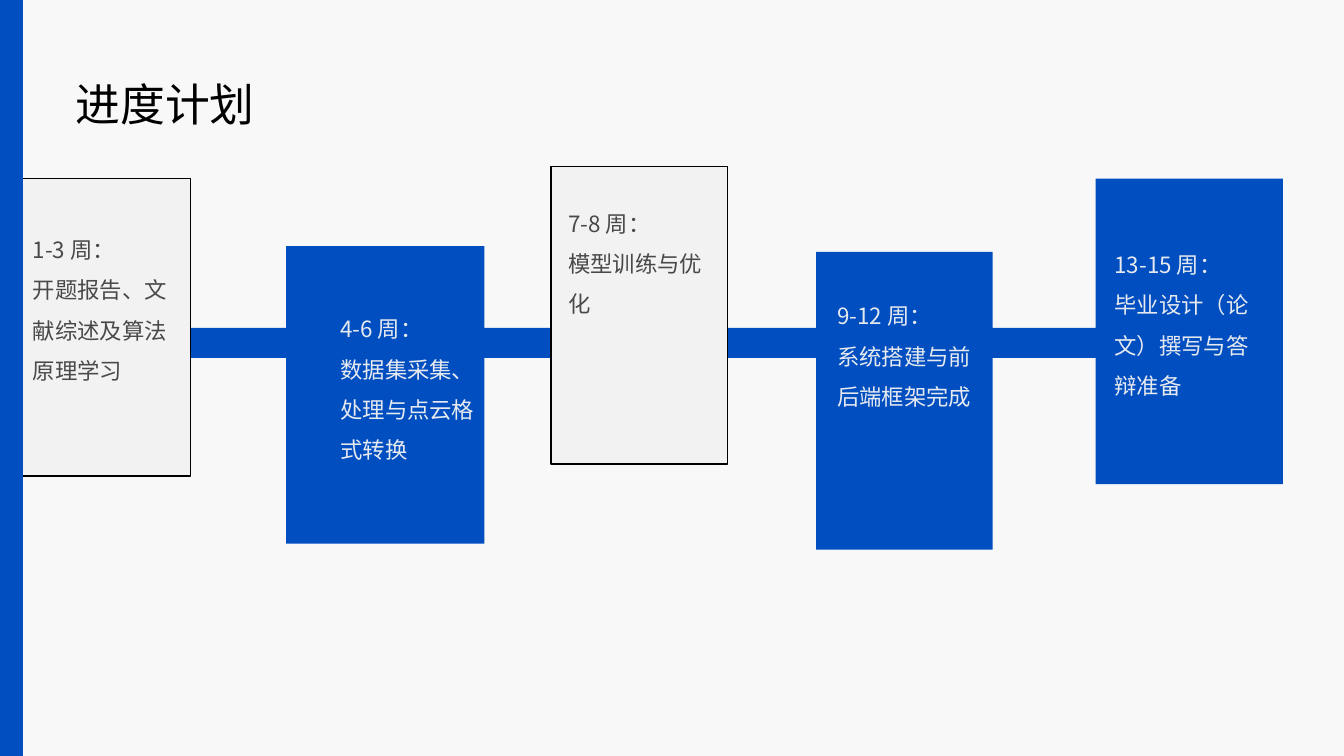
from typing import NamedTuple

from lxml.etree import SubElement
from pptx import Presentation
from pptx.dml.color import RGBColor as Rgb
from pptx.enum.shapes import MSO_SHAPE as Kind
from pptx.enum.text import MSO_ANCHOR as Anchor, MSO_AUTO_SIZE as Fit, PP_ALIGN as Align
from pptx.oxml.ns import qn
from pptx.util import Cm, Pt

FONT = "Noto Sans CJK SC"
COLORS = {
    "back": "F8F8F8",
    "blue": "004EC0",
    "grey": "F2F2F2",
    "black": "000000",
    "dark": "494949",
    "light": "E6EAF0",
}


class Box(NamedTuple):
    """Left, top, width and height in centimetres."""
    left: float
    top: float
    width: float
    height: float

    def size(self) -> list:
        return [Cm(v) for v in self]


class Phase(NamedTuple):
    weeks: str
    task: str
    card: Box
    label: Box
    blue: bool


PHASES = [
    Phase("1-3 周：", "开题报告、文献综述及算法原理学习",
          Box(0.36, 4.5, 4.45, 7.5), Box(0.58, 5.49, 3.94, 5.11), False),
    Phase("4-6 周：", "数据集采集、处理与点云格式转换",
          Box(7.21, 6.2, 5, 7.5), Box(8.33, 7.49, 4.14, 4.72), True),
    Phase("7-8 周：", "模型训练与优化",
          Box(13.89, 4.19, 4.45, 7.5), Box(14.07, 4.83, 4.27, 6.2), False),
    Phase("9-12 周：", "系统搭建与前后端框架完成",
          Box(20.57, 6.35, 4.45, 7.5), Box(20.85, 7.16, 3.89, 5.87), True),
    Phase("13-15 周：", "毕业设计（论文）撰写与答辩准备",
          Box(27.61, 4.5, 4.72, 7.7), Box(27.84, 5.87, 4.24, 4.75), True),
]


def tint(name: str) -> Rgb:
    return Rgb.from_string(COLORS[name])


def block(slide, box: Box, fill: str, line: str = "") -> None:
    """Draw a plain rectangle, outlined when a line colour is given."""
    shape = slide.shapes.add_shape(Kind.RECTANGLE, *box.size())
    shape.shadow.inherit = False
    shape.fill.solid()
    shape.fill.fore_color.rgb = tint(fill)
    if line:
        shape.line.color.rgb = tint(line)
        shape.line.width = Pt(1)
    else:
        shape.line.fill.background()


def write(shape, *lines: str, size: float, color: str, space: float = 1) -> None:
    """Fill a shape with one paragraph per line."""
    frame = shape.text_frame
    frame.word_wrap = True
    frame.auto_size = Fit.NONE
    frame.vertical_anchor = Anchor.TOP
    frame.text = "\n".join(lines)
    for para in frame.paragraphs:
        para.alignment = Align.LEFT
        para.line_spacing = space
        para.space_before = Pt(0)
        run = para.runs[0]
        run.font.size = Pt(size)
        run.font.name = FONT
        run.font.color.rgb = tint(color)
        SubElement(run.font._element, qn("a:ea"), typeface=FONT)


def main() -> None:
    deck = Presentation()
    deck.slide_width, deck.slide_height = Cm(33.87), Cm(19.05)
    slide = deck.slides.add_slide(deck.slide_layouts[5])
    slide.background.fill.solid()
    slide.background.fill.fore_color.rgb = tint("back")

    # Title
    title = slide.shapes.title
    title.left, title.top, title.width, title.height = Box(1.65, 1.8, 17.32, 1.63).size()
    write(title, "进度计划", size=32, color="black")

    # Time bar
    block(slide, Box(4.52, 8.26, 26.47, 0.76), "blue")

    # Phase cards
    for phase in PHASES:
        if phase.blue:
            block(slide, phase.card, "blue")
        else:
            block(slide, phase.card, "grey", "black")
        label = slide.shapes.add_textbox(*phase.label.size())
        write(label, phase.weeks, phase.task, size=16, space=1.5,
              color="light" if phase.blue else "dark")

    # Left strip, over the first card
    block(slide, Box(0, 0, 0.58, 19.05), "blue")

    deck.save("out.pptx")


if __name__ == "__main__":
    main()
